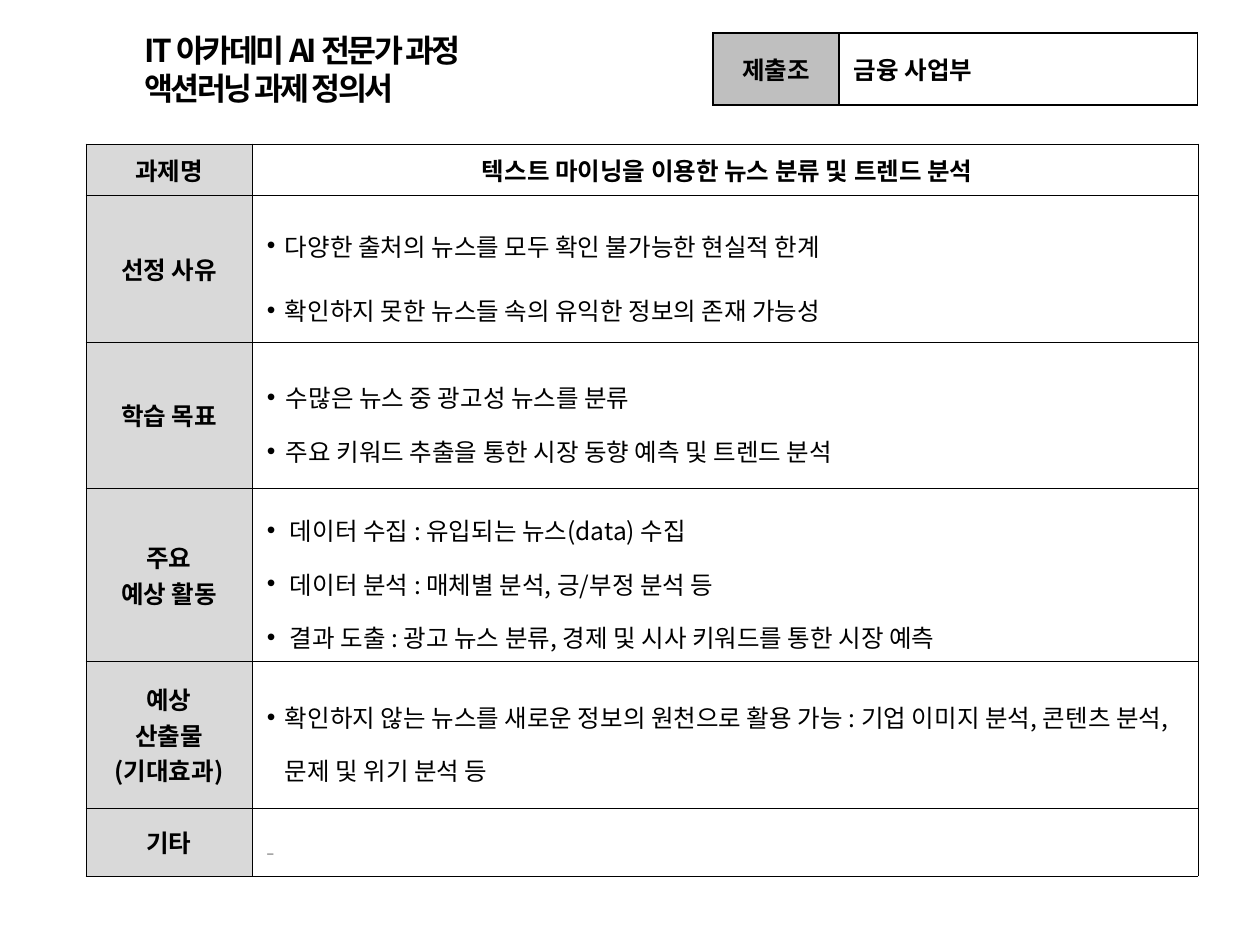
from pptx import Presentation
from pptx.dml.color import RGBColor
from pptx.enum.text import MSO_ANCHOR as Anchor, MSO_AUTO_SIZE as Auto, PP_ALIGN as Align
from pptx.oxml.ns import qn
from pptx.util import Pt
from lxml.etree import SubElement as Sub, Element

PX = 914400 // 126
FACE = "Noto Sans CJK KR"
BLACK = RGBColor(0, 0, 0)
WHITE = RGBColor(255, 255, 255)
PALE = RGBColor(0xD9, 0xD9, 0xD9)
GREY = RGBColor(0xBF, 0xBF, 0xBF)
DIM = RGBColor(0xA6, 0xA6, 0xA6)

# label lines, items, bullet indent, space after
ROWS = [
    (["선정 사유"], ["다양한 출처의 뉴스를 모두 확인 불가능한 현실적 한계",
                 "확인하지 못한 뉴스들 속의 유익한 정보의 존재 가능성"], 18, 6),
    (["학습 목표"], ["수많은 뉴스 중 광고성 뉴스를 분류",
                 "주요 키워드 추출을 통한 시장 동향 예측 및 트렌드 분석"], 19, 0),
    (["주요", "예상 활동"], ["데이터 수집 : 유입되는 뉴스(data) 수집",
                      "데이터 분석 : 매체별 분석, 긍/부정 분석 등",
                      "결과 도출 : 광고 뉴스 분류, 경제 및 시사 키워드를 통한 시장 예측"], 23, 0),
    (["예상", "산출물", "(기대효과)"],
     ["확인하지 않는 뉴스를 새로운 정보의 원천으로 활용 가능 : "
      "기업 이미지 분석, 콘텐츠 분석, 문제 및 위기 분석 등"], 18, 0),
]
HIGHS = (51, 147, 146, 173, 147, 68)


def px(*nums):
    """Turn pixels into EMU."""
    return [num * PX for num in nums]


def style(para, size=14, bold=True, color=BLACK):
    """Set the font of a paragraph, Korean face included."""
    font = para.font
    font.size, font.bold, font.name = Pt(size), bold, FACE
    font.color.rgb = color
    props = para._p.pPr.find(qn("a:defRPr"))
    Sub(props, qn("a:ea")).set("typeface", FACE)
    return props


def bullet(para, indent):
    """Give a paragraph a hanging black bullet."""
    props = para._p.get_or_add_pPr()
    props.set("marL", str(indent * PX))
    props.set("indent", str(-indent * PX))
    tint = Sub(Sub(props, qn("a:buClr")), qn("a:srgbClr"))
    tint.set("val", str(BLACK))
    Sub(props, qn("a:buFont")).set("typeface", "Arial")
    Sub(props, qn("a:buChar")).set("char", "•")


def border(cell, width):
    """Draw a black line on all four sides of a cell."""
    props = cell._tc.get_or_add_tcPr()
    for spot, side in enumerate(("lnL", "lnR", "lnT", "lnB")):
        line = Element(qn("a:" + side), w=str(Pt(width)))
        Sub(Sub(line, qn("a:solidFill")), qn("a:srgbClr")).set("val", str(BLACK))
        props.insert(spot, line)


def write(cell, lines, align=Align.LEFT, indent=0, space=None, after=0, **look):
    """Fill a cell with paragraphs."""
    cell.text = "\n".join(lines)
    for para in cell.text_frame.paragraphs:
        para.alignment = align
        if space:
            para.line_spacing = space
            para.space_after = Pt(after)
        if indent:
            bullet(para, indent)
        style(para, **look)


def grid(slide, left, top, cols, rows, shade, width=0.5):
    """Add a table with a shaded label column."""
    frame = slide.shapes.add_table(len(rows), len(cols),
                                   *px(left, top, sum(cols), sum(rows)))
    table = frame.table
    table.first_row = table.horz_banding = False
    for col, wide in zip(table.columns, cols):
        col.width = wide * PX
    for row, high in zip(table.rows, rows):
        row.height = high * PX
        for spot, cell in enumerate(row.cells):
            cell.vertical_anchor = Anchor.MIDDLE
            cell.margin_left, cell.margin_right = px(*((6, 6), (15, 10))[spot])
            cell.margin_top = cell.margin_bottom = 6 * PX
            cell.fill.solid()
            cell.fill.fore_color.rgb = (shade, WHITE)[spot]
            border(cell, width)
    return table


def heading(slide):
    """Place and format the title."""
    title = slide.shapes.title
    title.left, title.top, title.width, title.height = px(132, 25, 393, 88)
    frame = title.text_frame
    frame.text = "IT 아카데미 AI 전문가 과정 액션러닝 과제 정의서"
    frame.word_wrap, frame.auto_size = True, Auto.SHAPE_TO_FIT_TEXT
    frame.vertical_anchor = Anchor.TOP
    para = frame.paragraphs[0]
    para.alignment = Align.LEFT
    style(para, size=18).set("spc", "-150")


def plan(slide):
    """Add the table that defines the task."""
    table = grid(slide, 86, 144, (166, 946), HIGHS, PALE)
    write(table.cell(0, 0), ["과제명"], Align.CENTER)
    write(table.cell(0, 1), ["텍스트 마이닝을 이용한 뉴스 분류 및 트렌드 분석"], Align.CENTER)
    for row, (label, items, indent, after) in enumerate(ROWS, 1):
        write(table.cell(row, 0), label, Align.CENTER)
        write(table.cell(row, 1), items, indent=indent, space=1.5,
              after=after, bold=False)
    write(table.cell(5, 0), ["기타"], Align.CENTER)
    write(table.cell(5, 1), ["-"], space=1.5, bold=False, color=DIM)


def team(slide):
    """Add the table that names the team."""
    table = grid(slide, 713, 33, (126, 359), (72,), GREY, 0.75)
    write(table.cell(0, 0), ["제출조"], Align.CENTER)
    write(table.cell(0, 1), ["금융 사업부"])


def main():
    """Build the slide."""
    deck = Presentation()
    deck.slide_width, deck.slide_height = px(1260, 945)
    slide = deck.slides.add_slide(deck.slide_layouts[5])
    heading(slide)
    plan(slide)
    team(slide)
    deck.save("out.pptx")


main()
